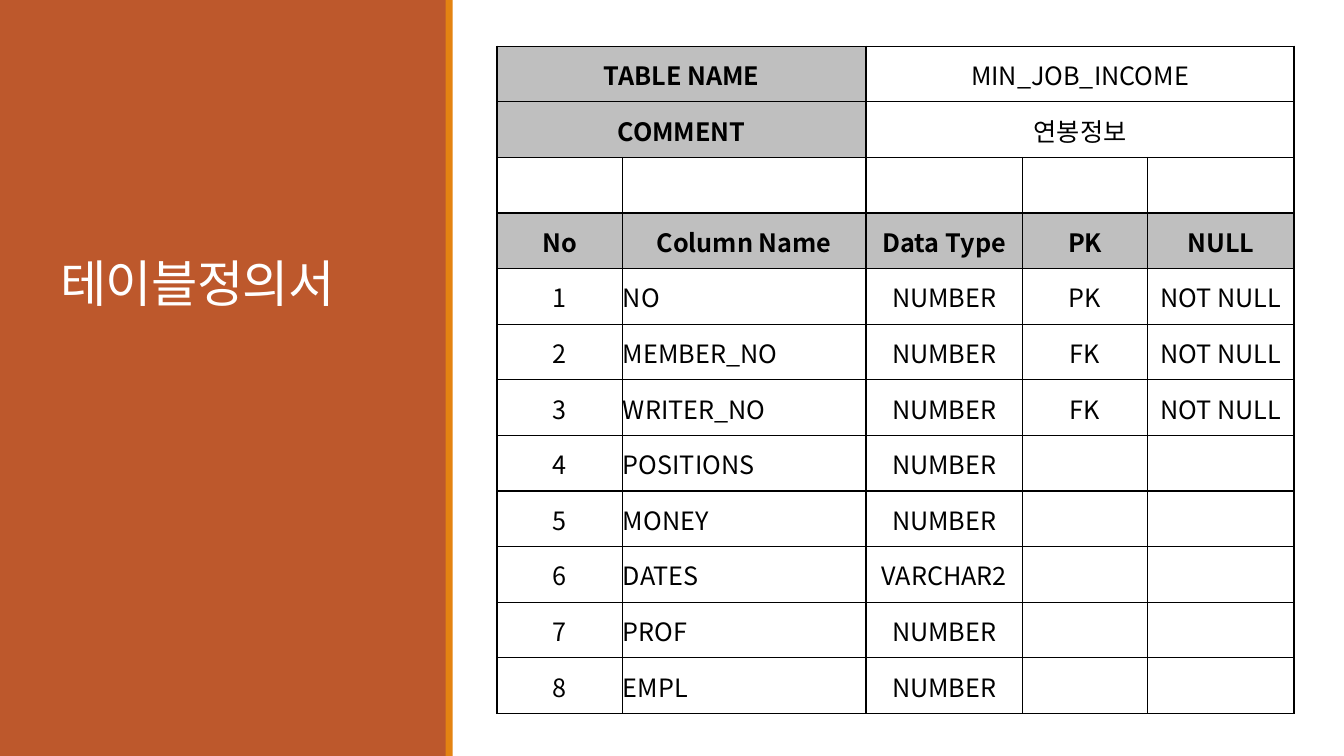
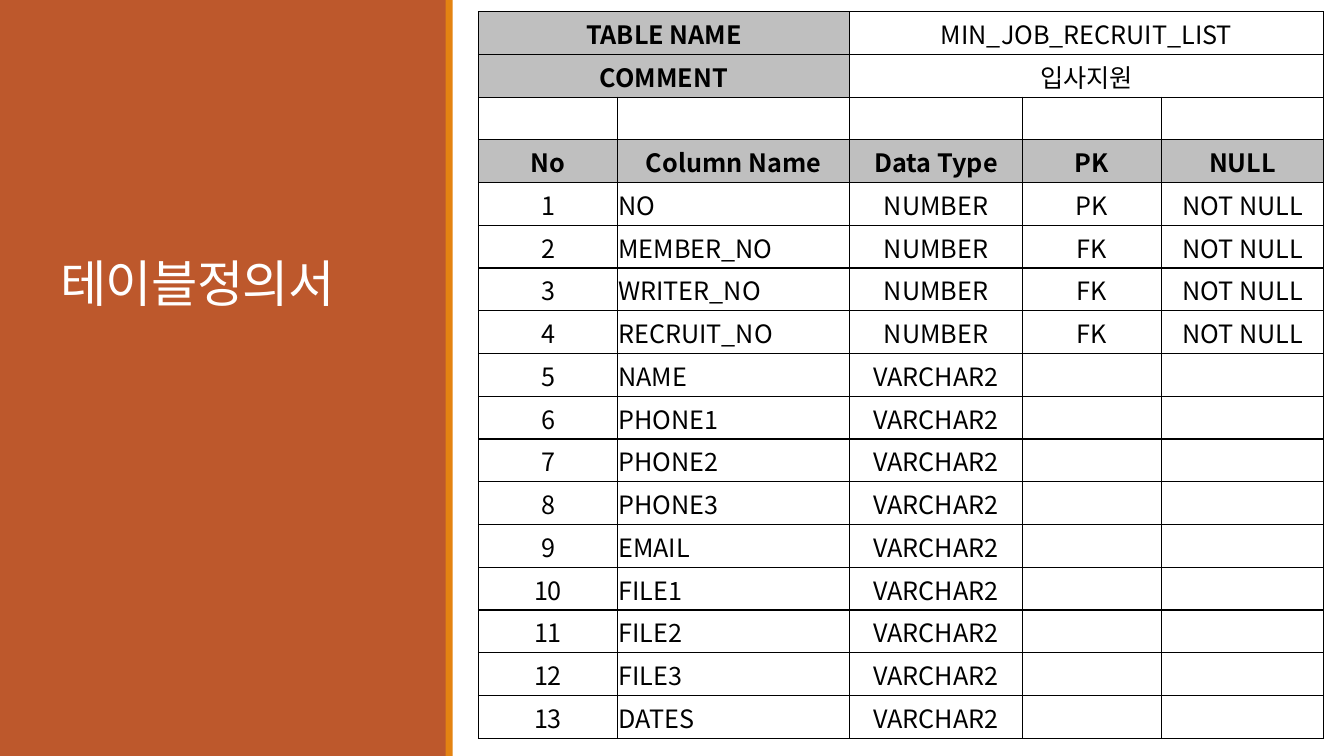
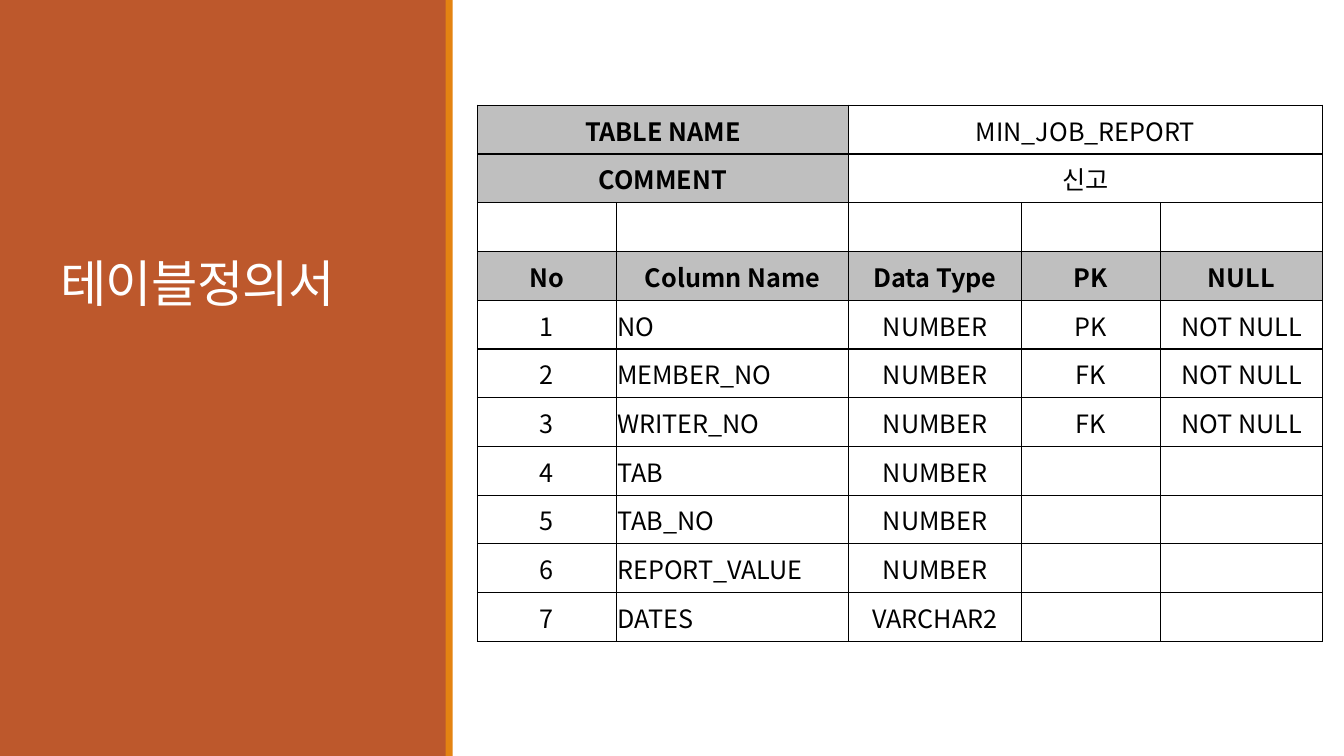
from lxml import etree
from pptx import Presentation
from pptx.dml.color import RGBColor
from pptx.enum.shapes import MSO_SHAPE
from pptx.enum.text import MSO_ANCHOR, PP_ALIGN
from pptx.oxml.ns import qn
from pptx.util import Pt

RECT = MSO_SHAPE.RECTANGLE
BOTTOM, MIDDLE = MSO_ANCHOR.BOTTOM, MSO_ANCHOR.MIDDLE
LEFT, CENTER = PP_ALIGN.LEFT, PP_ALIGN.CENTER
RUST = RGBColor(0xBD, 0x58, 0x2C)
ORANGE = RGBColor(0xE4, 0x83, 0x12)
GRAY = RGBColor(0xBF, 0xBF, 0xBF)
BLACK = RGBColor(0, 0, 0)
WHITE = RGBColor(255, 255, 255)
TITLE_FONT, TABLE_FONT = "Calibri", "Noto Sans CJK KR"
TITLE = "테이블정의서"
HEADINGS = ["No", "Column Name", "Data Type", "PK", "NULL"]
BANDS = [(0, 319, RUST), (318.4, 5, ORANGE)]
WIDE = [99.3, 165.7, 123.6, 99.3, 115.7]
NARROW = [89.4, 174.2, 111.8, 89.4, 104.6]
NUM, VAR = "NUMBER", "VARCHAR2"
KEYS = [("NO", NUM, "PK"), ("MEMBER_NO", NUM, "FK"), ("WRITER_NO", NUM, "FK")]

TABLES = [
    dict(name="MIN_JOB_INCOME", comment="연봉정보", left=355, top=33, row_h=39.72, widths=NARROW,
         fields=KEYS + [("POSITIONS", NUM, ""), ("MONEY", NUM, ""), ("DATES", VAR, ""),
                        ("PROF", NUM, ""), ("EMPL", NUM, "")]),
    dict(name="MIN_JOB_RECRUIT_LIST", comment="입사지원", left=341.8, top=8.3, row_h=30.53, widths=WIDE,
         fields=KEYS + [("RECRUIT_NO", NUM, "FK")]
         + [(field, VAR, "") for field in ("NAME", "PHONE1", "PHONE2", "PHONE3", "EMAIL",
                                           "FILE1", "FILE2", "FILE3", "DATES")]),
    dict(name="MIN_JOB_REPORT", comment="신고", left=341, top=75.2, row_h=34.82, widths=WIDE,
         fields=KEYS + [("TAB", NUM, ""), ("TAB_NO", NUM, ""), ("REPORT_VALUE", NUM, ""),
                        ("DATES", VAR, "")]),
]


def write(tf, text, font=TABLE_FONT, size=18, color=BLACK, bold=False, align=CENTER,
          line=None, spacing=None):
    p = tf.paragraphs[0]
    p.alignment = align
    p.line_spacing = line
    r = p.add_run()
    r.text = text
    r.font.name, r.font.size, r.font.bold = font, Pt(size), bold
    r.font.color.rgb = color
    if spacing is not None:
        r.font._element.set("spc", str(int(spacing * 100)))


def add_borders(cell):
    tcPr = cell._tc.get_or_add_tcPr()
    for side in ("lnL", "lnR", "lnT", "lnB"):
        ln = etree.SubElement(tcPr, qn("a:" + side), w=str(Pt(1)))
        fill = etree.SubElement(ln, qn("a:solidFill"))
        etree.SubElement(fill, qn("a:srgbClr"), val=str(BLACK))


prs = Presentation()
prs.slide_width, prs.slide_height = Pt(960), Pt(540)

for spec_table in TABLES:
    s = prs.slides.add_slide(prs.slide_layouts[6])
    for left, width, color in BANDS:
        sp = s.shapes.add_shape(RECT, Pt(left), 0, Pt(width), Pt(540))
        sp.shadow.inherit = False
        sp.fill.solid()
        sp.fill.fore_color.rgb = color
        sp.line.fill.background()

    tf = s.shapes.add_textbox(Pt(36), Pt(46.8), Pt(252), Pt(180)).text_frame
    tf.word_wrap = True
    tf.vertical_anchor = BOTTOM
    write(tf, TITLE, font=TITLE_FONT, size=36, color=WHITE, align=LEFT, line=0.85, spacing=-0.5)

    rows = [["TABLE NAME", "", spec_table["name"], "", ""],
            ["COMMENT", "", spec_table["comment"], "", ""],
            [""] * 5,
            HEADINGS]
    for number, (field, kind, key) in enumerate(spec_table["fields"], 1):
        rows.append([str(number), field, kind, key, "NOT NULL" if key else ""])

    widths, row_h = spec_table["widths"], spec_table["row_h"]
    table = s.shapes.add_table(len(rows), len(widths), Pt(spec_table["left"]), Pt(spec_table["top"]),
                               Pt(sum(widths)), Pt(row_h * len(rows))).table
    table.first_row = table.horz_banding = False
    for column, width in zip(table.columns, widths):
        column.width = Pt(width)
    for i, values in enumerate(rows):
        table.rows[i].height = Pt(row_h)
        for j, value in enumerate(values):
            cell = table.cell(i, j)
            header = i == 3 or (i < 2 and j < 2)
            cell.vertical_anchor = MIDDLE
            cell.margin_left = cell.margin_right = cell.margin_top = Pt(0.6)
            cell.margin_bottom = 0
            add_borders(cell)
            if header:
                cell.fill.solid()
                cell.fill.fore_color.rgb = GRAY
            else:
                cell.fill.background()
            if value:
                write(cell.text_frame, value, bold=header, align=LEFT if i > 3 and j == 1 else CENTER)
    for i in range(2):
        table.cell(i, 0).merge(table.cell(i, 1))
        table.cell(i, 2).merge(table.cell(i, 4))

prs.save("out.pptx")
